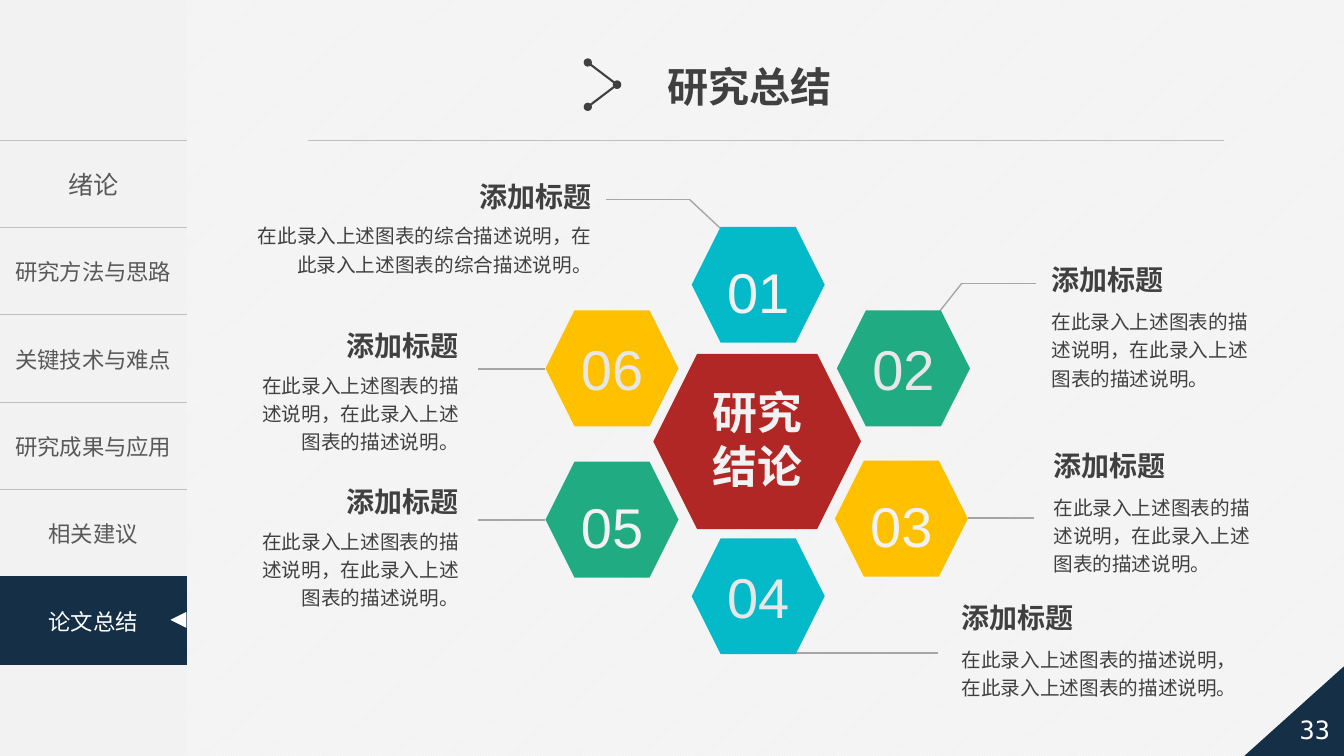
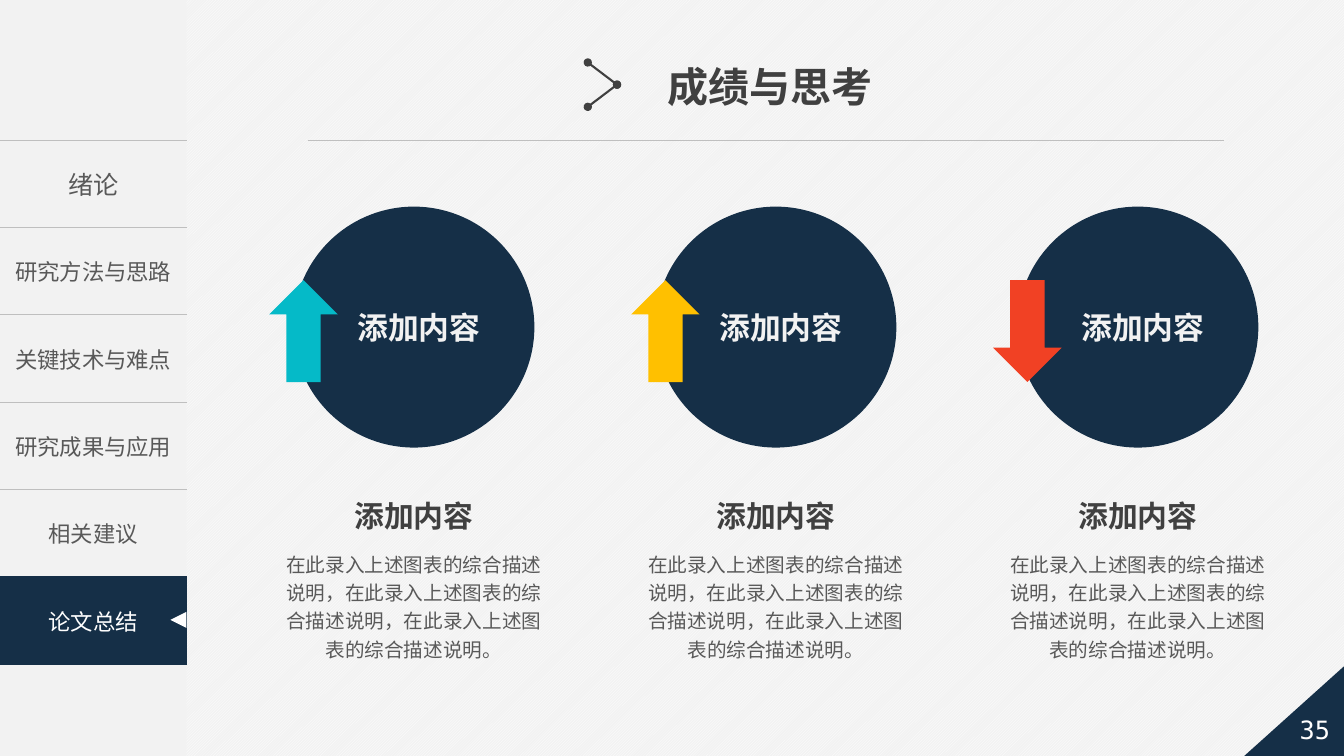
from dataclasses import dataclass
from itertools import pairwise

from lxml.etree import SubElement
from pptx import Presentation
from pptx.dml.color import RGBColor
from pptx.enum.dml import MSO_PATTERN
from pptx.enum.shapes import MSO_CONNECTOR, MSO_SHAPE
from pptx.enum.text import MSO_ANCHOR, MSO_AUTO_SIZE, PP_ALIGN
from pptx.oxml.ns import qn
from pptx.util import Pt

PX = 9144  # one px is a hundredth of an inch


@dataclass(frozen=True)
class Theme:
    paper: str = "F2F2F2"
    white: str = "FFFFFF"
    navy: str = "152F47"
    cyan: str = "05BAC8"
    green: str = "21AB82"
    yellow: str = "FFC000"
    orange: str = "F14124"
    red: str = "B12725"
    dark: str = "404040"
    grey: str = "595959"
    digit: str = "E7E7E7"
    rule: str = "BFBFBF"
    leader: str = "A6A6A6"
    cjk: str = "Noto Sans CJK SC"
    latin: str = "Arial"
    mono: str = "DejaVu Sans Mono"
    title_size: float = 29.3
    number_size: float = 40
    centre_size: float = 32
    circle_size: float = 22
    column_size: float = 21.3
    heading_size: float = 20
    large_size: float = 18
    menu_size: float = 16
    body_size: float = 14


THEME = Theme()


def write(holder, text, size, color, font=THEME.cjk, bold=False,
          align=PP_ALIGN.CENTER, spacing=1.0):
    """Fill a shape or a table cell with one formatted paragraph."""
    holder.text_frame.text = text
    holder.text_frame.word_wrap = True
    paragraph = holder.text_frame.paragraphs[0]
    paragraph.alignment = align
    paragraph.line_spacing = spacing
    run = paragraph.runs[0]
    run.font.name = font
    run.font.size = Pt(size)
    run.font.bold = bold
    run.font.color.rgb = RGBColor.from_string(color)
    SubElement(run.font._element, qn("a:ea"), typeface=THEME.cjk)


def draw(slide, kind, box, color, weight=1.0, ends=None):
    """Draw a filled preset shape in a box, or a line through points."""
    if kind is not MSO_CONNECTOR.STRAIGHT:
        shape = slide.shapes.add_shape(kind, *(v * PX for v in box))
        shape.shadow.inherit = False
        shape.fill.solid()
        shape.fill.fore_color.rgb = RGBColor.from_string(color)
        shape.line.fill.background()
        return shape
    for start, end in pairwise(box):
        line = slide.shapes.add_connector(kind, *(v * PX for v in start + end))
        line.line.color.rgb = RGBColor.from_string(color)
        line.line.width = Pt(weight)
        SubElement(line._element.spPr, qn("a:effectLst"))
        if ends:
            for tag in ("a:headEnd", "a:tailEnd"):
                SubElement(line.line._get_or_add_ln(), qn(tag), type=ends)


prs = Presentation()
prs.slide_width, prs.slide_height = 1333 * PX, 750 * PX

# Hatched background for every slide
hatch = prs.slide_master.background.fill
hatch.patterned()
hatch.pattern = MSO_PATTERN.LIGHT_UPWARD_DIAGONAL
hatch.fore_color.rgb = RGBColor.from_string(THEME.white)
hatch.back_color.rgb = RGBColor.from_string(THEME.paper)

# Title, sidebar menu and page corner of both slides
CHAPTERS = ["绪论", "研究方法与思路", "关键技术与难点", "研究成果与应用", "相关建议", "论文总结"]
slides = []
for title_text, page_number in [("研究总结", "33"), ("成绩与思考", "35")]:
    slide = prs.slides.add_slide(prs.slide_layouts[5])
    slides.append(slide)

    title = slide.shapes.title
    title.left, title.top, title.width, title.height = (v * PX for v in (652, 56, 400, 59))
    write(title, title_text, THEME.title_size, THEME.dark, THEME.latin, True, PP_ALIGN.LEFT)
    title.text_frame.auto_size = MSO_AUTO_SIZE.NONE
    title.text_frame.vertical_anchor = MSO_ANCHOR.MIDDLE
    draw(slide, MSO_CONNECTOR.STRAIGHT, [(583, 62), (612, 84), (583, 106)],
         THEME.dark, 1.5, "oval")
    draw(slide, MSO_CONNECTOR.STRAIGHT, [(305, 139), (1214, 139)], THEME.rule, 0.5)

    draw(slide, MSO_SHAPE.RECTANGLE, (0, 0, 185, 750), THEME.paper)
    menu = slide.shapes.add_table(len(CHAPTERS), 1, 0, 139 * PX, 185 * PX, 520 * PX).table
    menu.first_row = menu.horz_banding = False
    for row, chapter in enumerate(CHAPTERS):
        active = chapter == CHAPTERS[-1]
        cell = menu.cell(row, 0)
        write(cell, chapter, THEME.menu_size if row else THEME.large_size,
              THEME.white if active else THEME.grey)
        cell.vertical_anchor = MSO_ANCHOR.MIDDLE
        borders = cell._tc.get_or_add_tcPr()
        for side in ("a:lnL", "a:lnR"):
            SubElement(SubElement(borders, qn(side)), qn("a:noFill"))
        for side in ("a:lnT", "a:lnB"):
            edge = SubElement(borders, qn(side), w=str(Pt(1)))
            SubElement(SubElement(edge, qn("a:solidFill")), qn("a:srgbClr"),
                       val=THEME.navy if active else THEME.rule)
        if active:
            cell.fill.solid()
            cell.fill.fore_color.rgb = RGBColor.from_string(THEME.navy)
        else:
            cell.fill.background()
    draw(slide, MSO_SHAPE.ISOSCELES_TRIANGLE, (169, 607, 16, 16), THEME.white).rotation = 270

    draw(slide, MSO_SHAPE.RIGHT_TRIANGLE, (1239, 656, 89, 99), THEME.navy).rotation = 270
    page = slide.shapes.add_textbox(*(v * PX for v in (1275, 697, 58, 53)))
    write(page, page_number, THEME.large_size, THEME.white, THEME.mono)
    page.text_frame.vertical_anchor = MSO_ANCHOR.MIDDLE

summary, results = slides

# Summary: hexagon corner, colour, leader line, callout left, top, width
SHORT = "在此录入上述图表的描述说明，在此录入上述图表的描述说明。"
LONG = "在此录入上述图表的综合描述说明，在此录入上述图表的综合描述说明。"
FINDINGS = [
    ((686, 225), THEME.cyan, [(715, 227), (684, 198), (601, 198)], (237, 173, 360), LONG),
    ((830, 308), THEME.green, [(931, 310), (954, 281), (1028, 281)], (1033, 256, 234), SHORT),
    ((828, 457), THEME.yellow, [(960, 514), (1026, 514)], (1035, 440, 234), SHORT),
    ((686, 534), THEME.cyan, [(789, 648), (930, 648)], (944, 591, 310), SHORT),
    ((541, 458), THEME.green, [(541, 516), (474, 516)], (247, 476, 218), SHORT),
    ((541, 308), THEME.yellow, [(541, 366), (474, 366)], (247, 321, 218), SHORT),
]
for number, (corner, color, leader, callout, description) in enumerate(FINDINGS, 1):
    draw(summary, MSO_CONNECTOR.STRAIGHT, leader, THEME.leader)
    hexagon = draw(summary, MSO_SHAPE.HEXAGON, (*corner, 132, 115), color)
    odd = number % 2
    write(hexagon, f"{number:02}", THEME.number_size, THEME.paper if odd else THEME.digit,
          THEME.latin, spacing=1.2 if odd else 1.0)
    hexagon.text_frame.word_wrap = False

    left, top, width = callout
    on_left = left < corner[0]
    align = PP_ALIGN.RIGHT if on_left else PP_ALIGN.LEFT
    heading = summary.shapes.add_textbox(left * PX, top * PX, width * PX, 44 * PX)
    write(heading, "添加标题", THEME.heading_size, THEME.dark, bold=True, align=align)
    body_top = top + (40 if on_left else 42)
    body = summary.shapes.add_textbox(left * PX, body_top * PX, width * PX,
                                      (95 if width < 300 else 67) * PX)
    write(body, description, THEME.body_size, THEME.dark, align=align, spacing=1.2)

# Summary: hexagon in the middle
draw(summary, MSO_SHAPE.HEXAGON, (648, 351, 206, 174), THEME.red)
conclusion = summary.shapes.add_textbox(*(v * PX for v in (688, 377, 127, 121)))
write(conclusion, "研究结论", THEME.centre_size, THEME.paper, bold=True)

# Results: three equal columns
COLUMN_LEFT, COLUMN_PITCH = 268, 359
ARROWS = [(MSO_SHAPE.UP_ARROW, THEME.cyan), (MSO_SHAPE.UP_ARROW, THEME.yellow),
          (MSO_SHAPE.DOWN_ARROW, THEME.orange)]
for column, (direction, color) in enumerate(ARROWS):
    left = COLUMN_LEFT + column * COLUMN_PITCH
    circle = draw(results, MSO_SHAPE.OVAL, (left + 23, 205, 239, 239), THEME.navy)
    write(circle, "添加内容", THEME.circle_size, THEME.paper, bold=True)
    circle.text_frame.margin_left = 20 * PX
    draw(results, direction, (left - 1, 278, 68, 101), color)
    heading = results.shapes.add_textbox(left * PX, 489 * PX, 285 * PX, 50 * PX)
    write(heading, "添加内容", THEME.column_size, THEME.dark, bold=True)
    body = results.shapes.add_textbox(left * PX, 539 * PX, 285 * PX, 116 * PX)
    write(body, "在此录入上述图表的综合描述说明，在此录入上述图表的综合描述说明，在此录入上述图表的综合描述说明。",
          THEME.body_size, THEME.grey, spacing=1.2)

prs.save("out.pptx")
